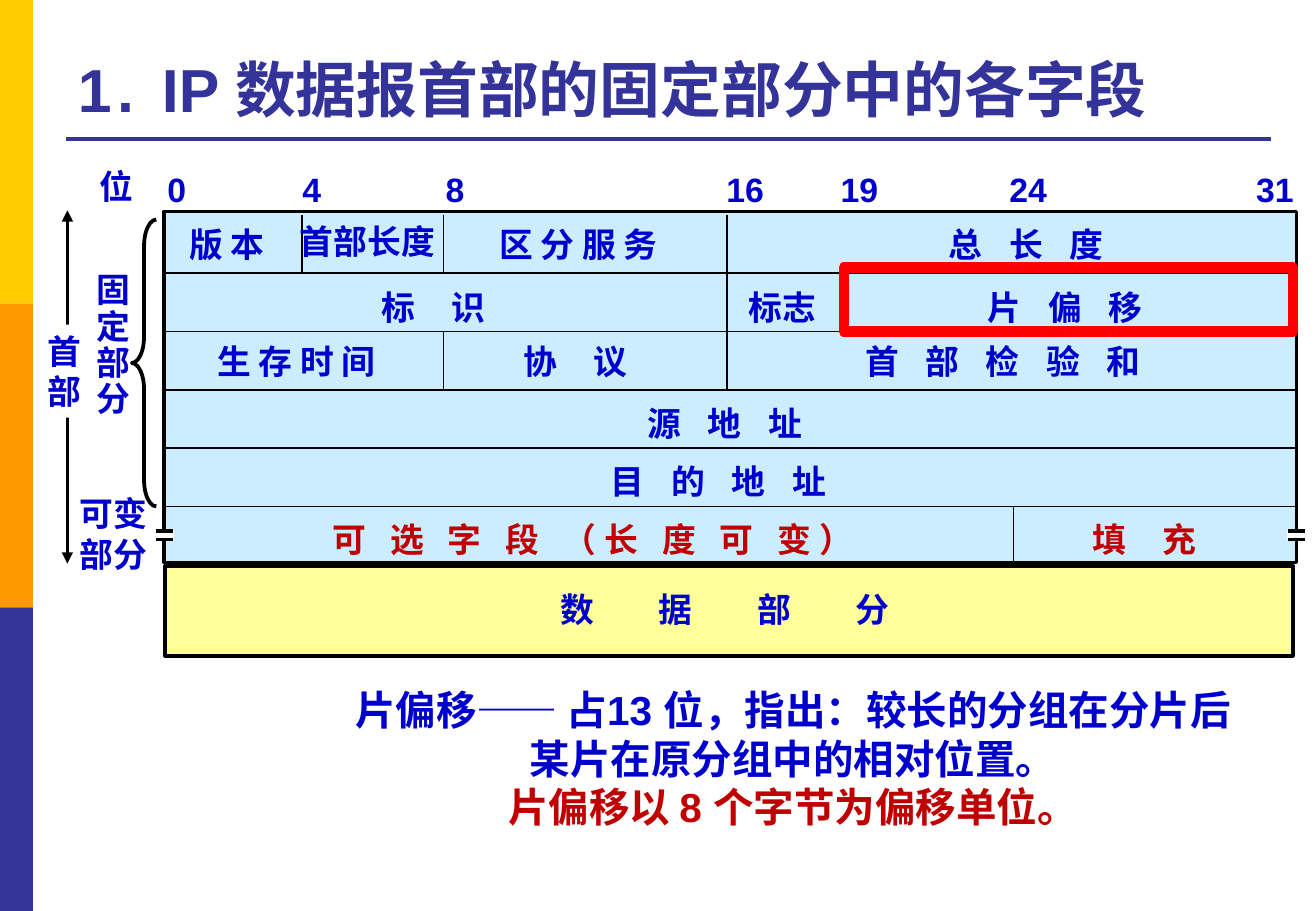
from dataclasses import dataclass

from lxml import etree
from pptx import Presentation
from pptx import util as u
from pptx.dml.color import RGBColor
from pptx.enum import shapes, text
from pptx.oxml import ns


@dataclass(frozen=True)
class Theme:
    font: str = "Arial"
    head: int = 36
    note: int = 24
    body: int = 20
    navy: str = "333399"
    blue: str = "0000CC"
    dark: str = "C00000"
    red: str = "FF0000"
    black: str = "000000"
    white: str = "FFFFFF"
    sky: str = "CCECFF"
    cream: str = "FFFF99"
    bars: tuple = ("FFCC00", "FF9900", "333399")


@dataclass(frozen=True)
class Box:
    x: float
    y: float
    w: float
    h: float
    cols: int = 1
    rows: int = 1

    def at(self, col, row):
        return (u.Inches(self.x + self.w * col / self.cols),
                u.Inches(self.y + self.h * row / self.rows))

    def area(self, col, row, wide, high):
        left, top = self.at(col, row)
        right, base = self.at(col + wide, row + high)
        return left, top, right - left, base - top


T = Theme()
PAGE = Box(0, 0, 10.83, 7.5)


def tint(code):
    return RGBColor.from_string(code)


def style(run, size, color, gap=0):
    font = run.font
    font.name, font.size, font.bold = T.font, u.Pt(size), True
    font.color.rgb = tint(color)
    if gap:
        run._r.get_or_add_rPr().set("spc", str(round(gap * 100)))


def block(slide, area, fill=None, line=None, width=1, kind=shapes.MSO_SHAPE.RECTANGLE):
    shape = slide.shapes.add_shape(kind, *area)
    shape.shadow.inherit = False
    if fill:
        shape.fill.solid()
        shape.fill.fore_color.rgb = tint(fill)
    else:
        shape.fill.background()
    if line:
        shape.line.color.rgb = tint(line)
        shape.line.width = u.Pt(width)
    else:
        shape.line.fill.background()
    return shape


def rule(slide, start, end, color=T.black, width=1):
    line = slide.shapes.add_connector(shapes.MSO_CONNECTOR.STRAIGHT, *start, *end)
    line.line.color.rgb = tint(color)
    line.line.width = u.Pt(width)
    etree.SubElement(line._element.spPr, ns.qn("a:effectLst"))
    return line


def label(slide, box, col, row, words, color=T.blue, gap=1, lead=None, fill=None):
    space = T.body * 0.28
    pad = (gap - 1) * space / 2
    lines = words.split("\n")

    def span(line):
        return pad + sum(T.body if ord(c) > 255 else T.body * 0.56 if c.isdigit()
                         else space * gap for c in line)

    wide = u.Pt(max(map(span, lines))) + u.Inches(0.2)
    high = u.Pt(len(lines) * T.body * 1.2 * (lead or 1)) + u.Inches(0.1)
    shape = slide.shapes.add_textbox(*box.at(col, row), wide, high)
    if fill:
        shape.fill.solid()
        shape.fill.fore_color.rgb = tint(fill)
    frame = shape.text_frame
    frame.text = words
    frame.word_wrap = False
    frame.auto_size = text.MSO_AUTO_SIZE.SHAPE_TO_FIT_TEXT
    for para in frame.paragraphs:
        if lead:
            para.line_spacing = lead
        for run in para.runs:
            style(run, T.body, color, pad)


def frame(slide, box):
    for i, color in enumerate(T.bars):
        block(slide, box.area(0, i / 3, 0.025, 1 / 3), color)
    rule(slide, box.at(0.05, 0.153), box.at(0.966, 0.153), T.navy, 2.25)


def title(slide, box):
    shape = slide.shapes.title
    shape.left, shape.top, shape.width, shape.height = box.area(0, 0, 1, 1)
    body = shape.text_frame
    body.word_wrap = True
    body.auto_size = text.MSO_AUTO_SIZE.NONE
    body.vertical_anchor = text.MSO_ANCHOR.BOTTOM
    para = body.paragraphs[0]
    para.alignment = text.PP_ALIGN.LEFT
    for words, gap in (("1. ", 3.3), ("IP 数据报首部的固定部分中的各字段", 0)):
        run = para.add_run()
        run.text = words
        style(run, T.head, T.navy, gap)


def header(slide, box):
    block(slide, box.area(0, -0.06, 32, 6.02), T.sky, T.black, 2)
    for row in range(1, 6):
        rule(slide, box.at(0, row), box.at(32, row))
    cuts = ((3.9, 0, 1), (7.9, 0, 1), (7.9, 2, 3), (15.9, 0, 3), (19.2, 1, 2), (24, 5, 6))
    for col, top, base in cuts:
        rule(slide, box.at(col, top), box.at(col, base))
    bits = ((-0.24, "0"), (3.57, "4"), (7.62, "8"), (15.55, "16"),
            (18.78, "19"), (23.55, "24"), (30.52, "31"))
    for col, bit in bits:
        label(slide, box, col, -0.9, bit)
    fields = (
        (0.38, 0.05, "版 本", 1), (3.5, 0, "首部长度", 1),
        (9.13, 0.05, "区 分 服 务", 1), (21.84, 0.05, "总 长 度", 3),
        (5.8, 1.13, "标 识", 4), (16.17, 1.13, "标志", 1), (22.94, 1.13, "片 偏 移", 3),
        (1.17, 2.05, "生 存 时 间", 1), (9.82, 2.05, "协 议", 4),
        (19.47, 2.05, "首 部 检 验 和", 3),
        (13.32, 3.11, "源 地 址", 3), (12.29, 4.11, "目 的 地 址", 3),
        (4.43, 5.1, "可 选 字 段 （长 度 可 变）", 2.7), (25.89, 5.1, "填 充", 4),
    )
    for col, row, words, gap in fields:
        label(slide, box, col, row, words, T.dark if row > 5 else T.blue, gap)
    for col in (-0.27, 31.73):
        block(slide, box.area(col, 5.4, 0.55, 0.17), T.white)
        for row in (5.42, 5.57):
            rule(slide, box.at(col + 0.03, row), box.at(col + 0.52, row), width=2)


def data(slide, box):
    block(slide, box.area(0, 0, 1, 1), T.cream, T.black, 2.25)
    label(slide, box, 0.34, 0.19, "数 据 部 分", gap=7)


def side(slide, box):
    label(slide, box, 0.41, -0.94, "位")
    label(slide, box, 0.38, 0.9, "固\n定\n部\n分", lead=0.9)
    label(slide, box, 0.25, 4.67, "可变\n部分")
    arrow = rule(slide, box.at(0.25, -0.08), box.at(0.25, 5.98), width=2.25)
    for end in ("a:headEnd", "a:tailEnd"):
        etree.SubElement(arrow.line._get_or_add_ln(), ns.qn(end), type="triangle")
    label(slide, box, 0, 1.88, "首\n部", fill=T.white)
    brace = block(slide, box.area(0.75, 0.08, 0.19, 4.92), line=T.black, width=2.25,
                  kind=shapes.MSO_SHAPE.LEFT_BRACE)
    brace.adjustments[0] = 1.08


def note(slide, box):
    body = slide.shapes.add_textbox(*box.area(0, 0, 1, 1)).text_frame
    body.word_wrap = True
    body.text = ("片偏移—— 占13 位，指出：较长的分组在分片后\n"
                 "某片在原分组中的相对位置。\n片偏移以 8 个字节为偏移单位。")
    for para, color in zip(body.paragraphs, (T.blue, T.blue, T.dark)):
        para.alignment = text.PP_ALIGN.CENTER
        style(para.runs[0], T.note, color)


def main():
    deck = Presentation()
    deck.slide_width, deck.slide_height = u.Inches(PAGE.w), u.Inches(PAGE.h)
    slide = deck.slides.add_slide(deck.slide_layouts[5])
    grid = Box(1.35, 1.77, 9.32, 2.88, 32, 6)
    frame(slide, PAGE)
    title(slide, Box(0.54, 0.21, 9.91, 0.87))
    header(slide, grid)
    data(slide, Box(1.36, 4.66, 9.28, 0.74))
    side(slide, Box(0.29, 1.77, 1.06, 2.88, 1, 6))
    note(slide, Box(2.76, 5.59, 7.53, 1.31))
    block(slide, grid.area(19.2, 0.9, 12.7, 1.1), line=T.red, width=6)
    deck.save("out.pptx")


if __name__ == "__main__":
    main()
